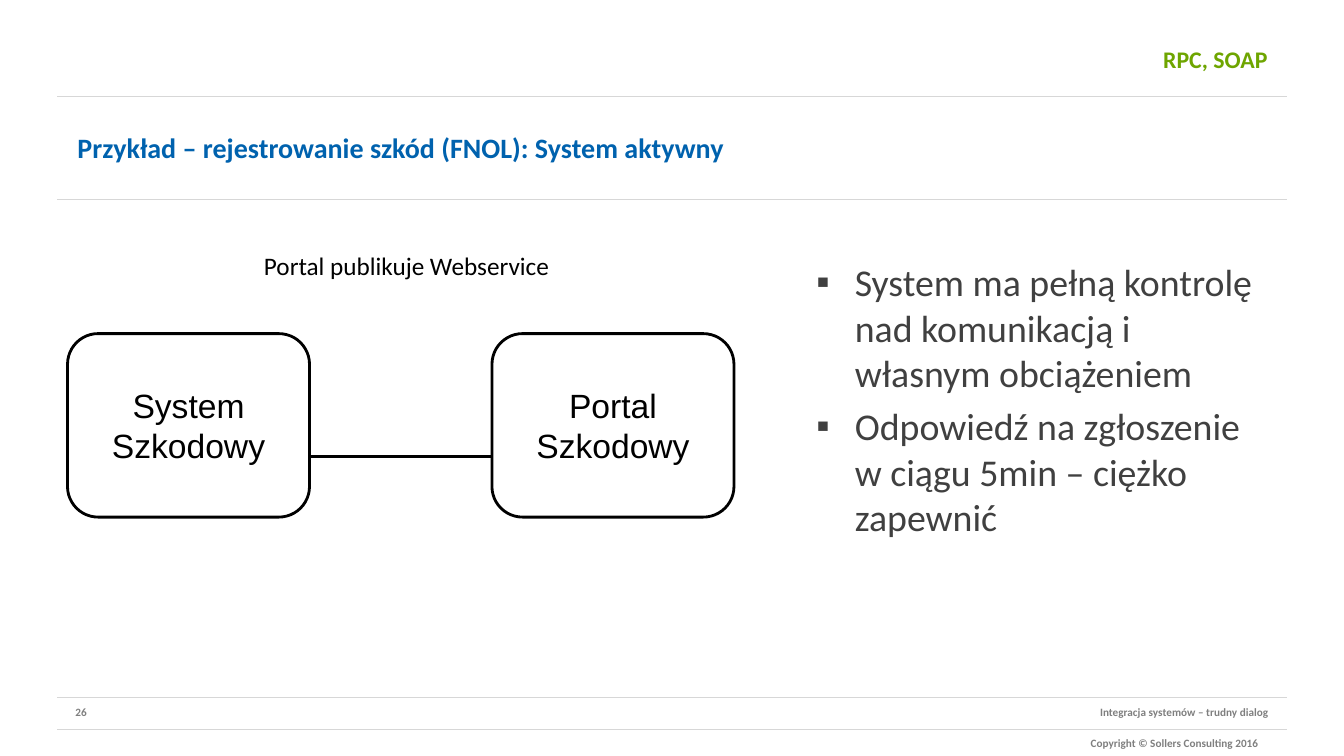
from dataclasses import dataclass

from lxml.etree import SubElement
from pptx import Presentation
from pptx.dml.color import RGBColor
from pptx.enum.shapes import MSO_CONNECTOR, MSO_SHAPE
from pptx.enum.text import MSO_ANCHOR, PP_ALIGN
from pptx.oxml.ns import qn
from pptx.slide import Slide
from pptx.text.text import TextFrame
from pptx.util import Inches, Pt

COLORS = {
    "green": "6EA500",
    "blue": "0062AE",
    "body": "404040",
    "footer": "7F7F7F",
    "rule": "D7D7D7",
    "black": "000000",
}
FORMATS = {
    "title": {"name": "Calibri", "size": Pt(17), "bold": True},
    "heading": {"name": "Calibri", "size": Pt(20), "bold": True},
    "bullets": {"name": "Calibri", "size": Pt(27)},
    "caption": {"name": "Calibri", "size": Pt(18)},
    "footer": {"name": "Calibri", "size": Pt(8), "bold": True},
    "system": {"name": "Arial", "size": Pt(24)},
}


@dataclass(frozen=True)
class Label:
    paragraphs: tuple[str, ...]
    box: tuple[float, float, float, float]
    style: str
    color: str
    alignment: PP_ALIGN = PP_ALIGN.LEFT
    anchor: MSO_ANCHOR = MSO_ANCHOR.TOP
    wrap: bool = True
    top_margin: float = 0.05
    bulleted: bool = False


@dataclass(frozen=True)
class Line:
    left: float
    right: float
    top: float
    color: str
    width: float


@dataclass(frozen=True)
class SystemBox:
    name: str
    left: float


BULLETS = (
    "System ma pełną kontrolę nad komunikacją i własnym obciążeniem",
    "Odpowiedź na zgłoszenie w ciągu 5min – ciężko zapewnić",
)
LABELS = (
    Label(("26",), (0.65, 6.95, 3.18, 0.24), "footer", "footer"),
    Label(("Integracja systemów – trudny dialog",), (5.69, 6.95, 6.99, 0.24),
          "footer", "footer", PP_ALIGN.RIGHT),
    Label(("Copyright © Sollers Consulting 2016",), (5.59, 7.26, 6.99, 0.24),
          "footer", "footer", PP_ALIGN.RIGHT),
    Label(("RPC, SOAP",), (3.19, 0.21, 9.48, 0.76), "title", "green",
          PP_ALIGN.RIGHT, MSO_ANCHOR.MIDDLE),
    Label(("Przykład – rejestrowanie szkód (FNOL): System aktywny",),
          (0.67, 0.99, 11.91, 0.95), "heading", "blue", anchor=MSO_ANCHOR.MIDDLE),
    Label(BULLETS, (8, 1.98, 4.67, 4.31), "bullets", "body",
          top_margin=0.59, bulleted=True),
    Label(("Portal publikuje Webservice",), (2.52, 2.43, 3.06, 0.4),
          "caption", "black", wrap=False),
)
RULES = tuple(Line(0.57, 12.76, top, "rule", 1) for top in (0.96, 1.98, 6.92, 7.24))
SYSTEM_LINK = Line(3.07, 4.88, 4.53, "black", 2)
SYSTEM_BOXES = (SystemBox("System Szkodowy", 0.67), SystemBox("Portal Szkodowy", 4.88))


def rgb(color: str) -> RGBColor:
    return RGBColor.from_string(COLORS[color])


def add_bullet(paragraph) -> None:
    properties = paragraph._p.get_or_add_pPr()
    properties.set("marL", str(Inches(0.38)))
    properties.set("indent", str(Inches(-0.38)))
    SubElement(properties, qn("a:buFont")).set("typeface", "Arial")
    SubElement(properties, qn("a:buChar")).set("char", "▪")


def write_text(text_frame: TextFrame, label: Label) -> None:
    frame_format = {
        "word_wrap": label.wrap,
        "vertical_anchor": label.anchor,
        "margin_top": Inches(label.top_margin),
    }
    for attribute, value in frame_format.items():
        setattr(text_frame, attribute, value)
    for index, text in enumerate(label.paragraphs):
        paragraph = text_frame.add_paragraph() if index else text_frame.paragraphs[0]
        paragraph.alignment = label.alignment
        if index:
            paragraph.space_before = Pt(5.4)
        if label.bulleted:
            add_bullet(paragraph)
        run = paragraph.add_run()
        run.text = text
        for attribute, value in FORMATS[label.style].items():
            setattr(run.font, attribute, value)
        run.font.color.rgb = rgb(label.color)


def add_label(slide: Slide, label: Label) -> None:
    shape = slide.shapes.add_textbox(*map(Inches, label.box))
    write_text(shape.text_frame, label)


def add_line(slide: Slide, line: Line) -> None:
    connector = slide.shapes.add_connector(
        MSO_CONNECTOR.STRAIGHT, Inches(line.left), Inches(line.top),
        Inches(line.right), Inches(line.top))
    connector.line.color.rgb = rgb(line.color)
    connector.line.width = Pt(line.width)
    SubElement(connector._element.spPr, qn("a:effectLst"))


def add_system_box(slide: Slide, system: SystemBox) -> None:
    box = (system.left, 3.31, 2.4, 1.82)
    shape = slide.shapes.add_shape(MSO_SHAPE.ROUNDED_RECTANGLE, *map(Inches, box))
    shape.shadow.inherit = False
    shape.fill.background()
    shape.line.color.rgb = rgb("black")
    shape.line.width = Pt(2)
    write_text(shape.text_frame, Label((system.name,), box, "system", "black",
                                       PP_ALIGN.CENTER, MSO_ANCHOR.MIDDLE))


def main() -> None:
    presentation = Presentation()
    presentation.slide_width = Inches(13.33)
    presentation.slide_height = Inches(7.5)
    slide = presentation.slides.add_slide(presentation.slide_layouts[6])
    for line in (*RULES, SYSTEM_LINK):
        add_line(slide, line)
    for system in SYSTEM_BOXES:
        add_system_box(slide, system)
    for label in LABELS:
        add_label(slide, label)
    presentation.save("out.pptx")


if __name__ == "__main__":
    main()
